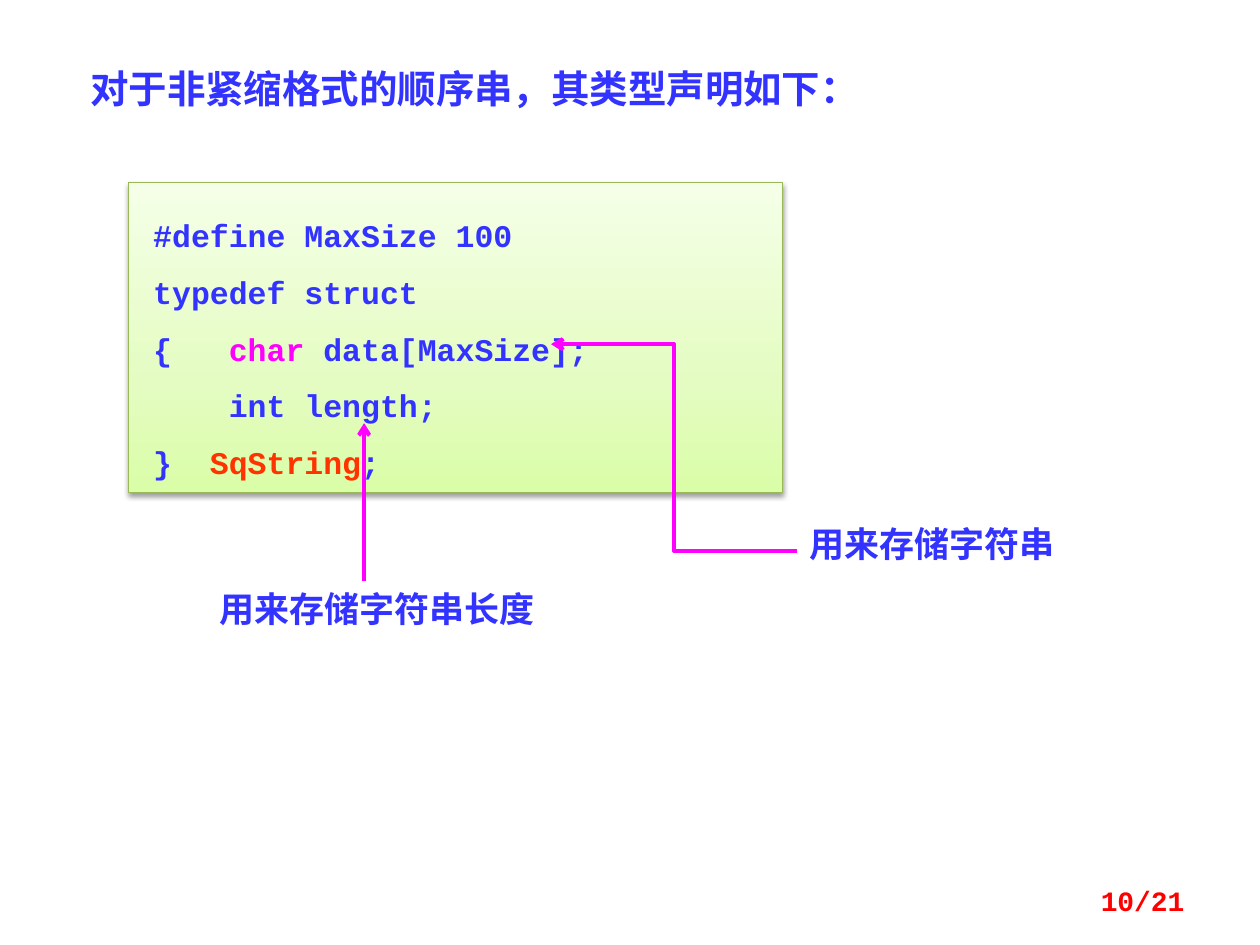
from dataclasses import dataclass

from lxml import etree
from pptx import Presentation
from pptx.dml.color import RGBColor as RGB
from pptx.enum.shapes import MSO_CONNECTOR as CONN, MSO_SHAPE as SHAPE
from pptx.enum.text import MSO_ANCHOR as ANCHOR, MSO_AUTO_SIZE as AUTO, PP_ALIGN as ALIGN
from pptx.oxml.ns import qn
from pptx.util import Cm, Pt


@dataclass(frozen=True)
class Theme:
    """Colours, fonts and type sizes."""
    blue: str = "3333FF"
    pink: str = "FF00FF"
    orange: str = "FF3300"
    red: str = "FF0000"
    border: str = "98B955"
    shadow: str = "000000"
    panel: tuple = ((0, "DAFDA7"), (35, "E4FCC2"), (100, "F5FFE7"))
    body: str = "Times New Roman"
    mono: str = "Courier New"
    title_size: int = 22
    note_size: int = 20
    code_size: int = 18
    page_size: int = 16


def sub(parent, tag, **attrs):
    """Append a DrawingML element and return it."""
    return etree.SubElement(parent, qn(tag), {k: str(v) for k, v in attrs.items()})


class Board:
    """Draws styled elements on the current slide."""

    def __init__(self, slide, theme):
        self.s, self.t = slide, theme

    def run(self, p, text, size, font, color):
        """Add one bold run."""
        r = p.add_run()
        r.text = text
        r.font.size, r.font.name, r.font.bold = Pt(size), font, True
        r.font.color.rgb = RGB.from_string(color)

    def text(self, box, text, size, font=None, color=None, align=ALIGN.LEFT,
             anchor=ANCHOR.TOP, auto=AUTO.SHAPE_TO_FIT_TEXT):
        """Add a one-line text box."""
        tf = self.s.shapes.add_textbox(*map(Cm, box)).text_frame
        tf.word_wrap, tf.auto_size, tf.vertical_anchor = True, auto, anchor
        p = tf.paragraphs[0]
        p.alignment = align
        self.run(p, text, size, font or self.t.body, color or self.t.blue)

    def panel(self, box):
        """Add the shaded code panel and return its text frame."""
        sp = self.s.shapes.add_shape(SHAPE.RECTANGLE, *map(Cm, box))
        sp.shadow.inherit = False
        sp.fill.gradient()
        sp.fill.gradient_angle = 90
        sp.line.color.rgb = RGB.from_string(self.t.border)
        sp.line.width = Pt(0.75)
        props = sp._element.spPr
        stops = props.find(qn("a:gradFill")).find(qn("a:gsLst"))
        for old in list(stops):
            stops.remove(old)
        for pos, color in self.t.panel:
            sub(sub(stops, "a:gs", pos=pos * 1000), "a:srgbClr", val=color)
        shade = sub(props.find(qn("a:effectLst")), "a:outerShdw", blurRad=Pt(3.1),
                    dist=Pt(1.6), dir=90 * 60000, rotWithShape=0)
        sub(sub(shade, "a:srgbClr", val=self.t.shadow), "a:alpha", val=38000)
        tf = sp.text_frame
        tf.word_wrap, tf.auto_size = True, AUTO.SHAPE_TO_FIT_TEXT
        tf.vertical_anchor = ANCHOR.TOP
        tf.margin_left = tf.margin_right = Cm(0.5)
        tf.margin_top = tf.margin_bottom = Cm(0.3)
        return tf

    def code(self, box, lines):
        """Add code lines, each given as a tab stop and coloured runs."""
        tf = self.panel(box)
        for i, (tab, runs) in enumerate(lines):
            p = tf.add_paragraph() if i else tf.paragraphs[0]
            p.alignment, p.line_spacing = ALIGN.LEFT, 1.5
            if tab:
                tabs = sub(p._p.get_or_add_pPr(), "a:tabLst")
                sub(tabs, "a:tab", pos=Cm(tab), algn="l")
            for text, color in runs:
                self.run(p, text, self.t.code_size, self.t.mono, color)

    def arrow(self, kind, *ends):
        """Add a connector with an arrowhead at its end."""
        c = self.s.shapes.add_connector(kind, *map(Cm, ends))
        c.line.color.rgb = RGB.from_string(self.t.pink)
        c.line.width = Pt(2.25)
        sub(c.line._get_or_add_ln(), "a:tailEnd", type="arrow")
        sub(c._element.spPr, "a:effectLst")


def main():
    """Build and save the slide."""
    prs = Presentation()
    prs.slide_width, prs.slide_height = Cm(25.4), Cm(19.05)
    t = Theme()
    b = Board(prs.slides.add_slide(prs.slide_layouts[6]), t)

    b.text((1.57, 1.19, 21.49, 1.19), "对于非紧缩格式的顺序串，其类型声明如下：",
           t.title_size, align=ALIGN.JUSTIFY)

    char = 0.381  # width of one code character
    member, name = 4 * char, 3 * char
    b.code((2.59, 3.68, 13.18, 6.25), [
        (0, [("#define MaxSize 100", t.blue)]),
        (0, [("typedef struct", t.blue)]),
        (member, [("{\t", t.blue), ("char ", t.pink), ("data[MaxSize];", t.blue)]),
        (member, [("\tint length;", t.blue)]),
        (name, [("}\t", t.blue), ("SqString", t.orange), (";", t.blue)]),
    ])

    b.arrow(CONN.ELBOW, 16.07, 11.11, 11.11, 6.94)
    b.text((16.07, 10.41, 6.55, 1.11), "用来存储字符串", t.note_size)
    b.text((4.17, 11.71, 8.94, 1.11), "用来存储字符串长度", t.note_size)
    b.arrow(CONN.STRAIGHT, 7.34, 11.71, 7.34, 8.53)

    b.text((18.21, 17.65, 5.92, 1.01), "10/21", t.page_size, t.mono, t.red,
           ALIGN.RIGHT, ANCHOR.MIDDLE, AUTO.NONE)
    prs.save("out.pptx")


main()
